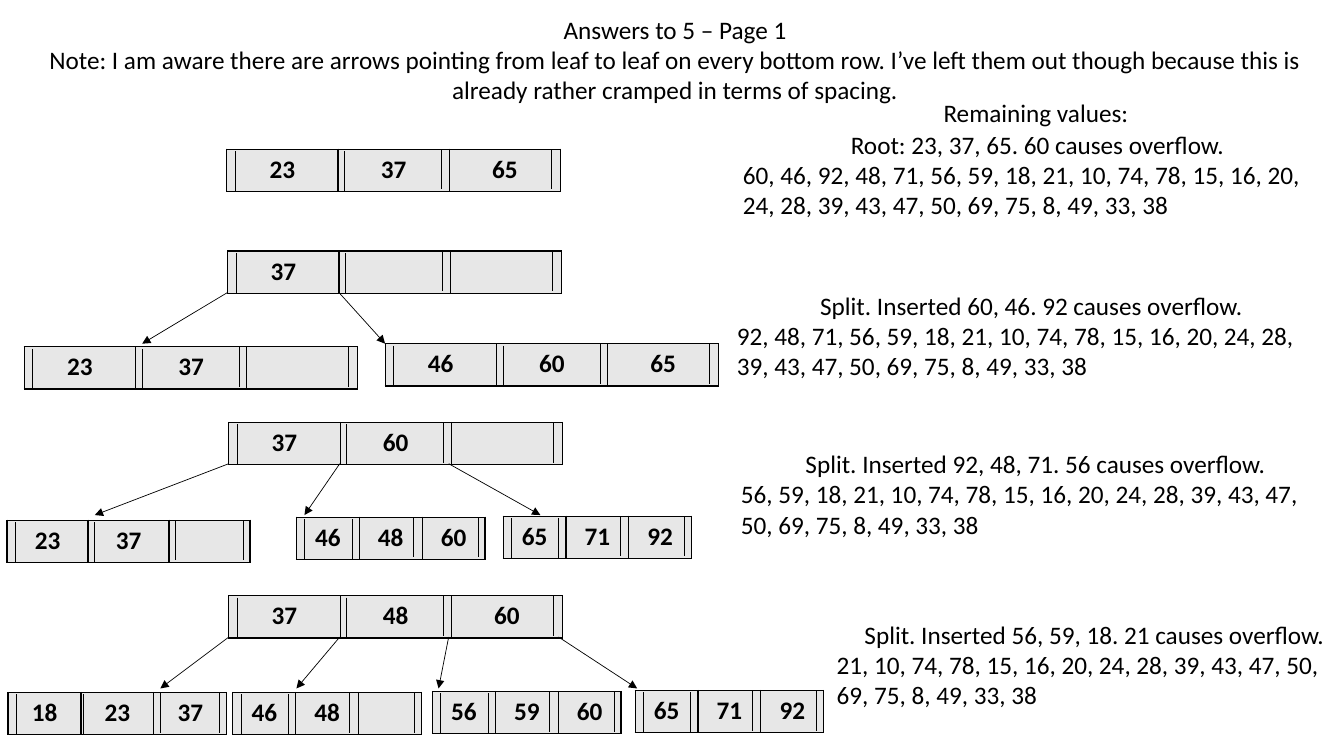
from lxml import etree
from pptx import Presentation, util as u
from pptx.dml.color import RGBColor
from pptx.enum import shapes, text
from pptx.oxml import ns

FONT = {"name": "Calibri", "size": u.Pt(18)}
INK, KEY_FILL = "000000", "E7E7E7"
ROW_H, TICK_H = 0.42, 0.4
WIDE, MID, SMALL, NARROW = 3.31, 2.41, 2.17, 1.87

# Left offsets of the pointer slot marks, for each node width
TICKS = {
    WIDE: (0.08, 1.17, 2.13, 3.22),
    MID: (0.08, 0.87, 1.67, 2.34),
    SMALL: (0.08, 0.75, 1.51, 2.1),
    NARROW: (0.08, 0.55, 1.16, 1.8),
}
POINTERS = (0, 1.1, 2.18, 3.27)  # where arrows leave a root
TIP_DROP = 0.92                  # from root top to arrow tips

# Each level: root left, top and keys; leaves (left, top, width, tip offset, keys);
# note box and its two paragraphs
LEVELS = [
    ((2.25, 1.48, "23 37 65"), [], (7.27, 1.23, 6.04, 1.01),
     ("Root: 23, 37, 65. 60 causes overflow.",
      "60, 46, 92, 48, 71, 56, 59, 18, 21, 10, 74, 78, 15, 16, 20, 24, 28, 39, "
      "43, 47, 50, 69, 75, 8, 49, 33, 38")),
    ((2.26, 2.49, "37"),
     [(0.24, 3.44, WIDE, 1.17, "23 37"),
      (3.82, 3.41, WIDE, 0, "46 60 65")],
     (7.21, 2.83, 6.04, 1.01),
     ("Split. Inserted 60, 46. 92 causes overflow.",
      "92, 48, 71, 56, 59, 18, 21, 10, 74, 78, 15, 16, 20, 24, 28, 39, 43, 47, "
      "50, 69, 75, 8, 49, 33, 38")),
    ((2.27, 4.19, "37 60"),
     [(0.07, 5.16, MID, 0.87, "23 37"),
      (2.94, 5.13, NARROW, 0.08, "46 48 60"),
      (4.99, 5.12, NARROW, 0.37, "65 71 92")],
     (7.25, 4.4, 6.04, 1.01),
     ("Split. Inserted 92, 48, 71. 56 causes overflow.",
      "56, 59, 18, 21, 10, 74, 78, 15, 16, 20, 24, 28, 39, 43, 47, 50, 69, 75, "
      "8, 49, 33, 38")),
    ((2.27, 5.91, "37 48 60"),
     [(0.08, 6.87, SMALL, 1.51, "18 23 37"),
      (2.31, 6.87, NARROW, 0.63, "46 48"),
      (4.29, 6.86, NARROW, 0.06, "56 59 60"),
      (6.3, 6.85, NARROW, 0.02, "65 71 92")],
     (8.2, 6.09, 5.31, 1.01),
     ("Split. Inserted 56, 59, 18. 21 causes overflow.",
      "21, 10, 74, 78, 15, 16, 20, 24, 28, 39, 43, 47, 50, 69, 75, 8, 49, 33, 38")),
]


def color(value):
    return RGBColor.from_string(value)


def inches(*values):
    return [u.Inches(v) for v in values]


def add_run(p, words, align, **extra):
    p.alignment = align
    r = p.add_run()
    r.text = words
    for name, value in {**FONT, **extra}.items():
        setattr(r.font, name, value)
    r.font.color.rgb = color(INK)


def add_text(s, box, paragraphs, wrap=True):
    tf = s.shapes.add_textbox(*inches(*box)).text_frame
    tf.word_wrap = wrap
    tf.auto_size = text.MSO_AUTO_SIZE.SHAPE_TO_FIT_TEXT
    for i, (words, align) in enumerate(paragraphs):
        p = tf.add_paragraph() if i else tf.paragraphs[0]
        add_run(p, words, align)


def add_line(s, x1, y1, x2, y2, arrow=False):
    line = s.shapes.add_connector(shapes.MSO_CONNECTOR.STRAIGHT, *inches(x1, y1, x2, y2))
    line.line.width = u.Pt(0.5)
    line.line.color.rgb = color(INK)
    if arrow:
        etree.SubElement(line.line._get_or_add_ln(), ns.qn("a:tailEnd"), type="triangle")
    etree.SubElement(line._element.spPr, ns.qn("a:effectLst"))


def add_borders(cell):
    tc_pr = cell._tc.get_or_add_tcPr()
    for i, side in enumerate(("lnL", "lnR", "lnT", "lnB")):
        ln = etree.Element(ns.qn("a:" + side), w=str(u.Pt(1)))
        fill = etree.SubElement(ln, ns.qn("a:solidFill"))
        etree.SubElement(fill, ns.qn("a:srgbClr"), val=INK)
        tc_pr.insert(i, ln)


def add_node(s, x, y, width, keys):
    """A tree node with three key cells and four pointer slots."""
    table = s.shapes.add_table(1, 3, *inches(x, y, width, ROW_H)).table
    table.first_row = table.horz_banding = False
    keys = keys.split()
    for i, cell in enumerate(table.rows[0].cells):
        table.columns[i].width = u.Inches(width / 3)
        cell.fill.solid()
        cell.fill.fore_color.rgb = color(KEY_FILL)
        add_borders(cell)
        if i < len(keys):
            add_run(cell.text_frame.paragraphs[0], keys[i], text.PP_ALIGN.CENTER, bold=True)
    for i, dx in enumerate(TICKS[width]):
        top = y + (0.02 if i < 2 else 0)
        add_line(s, x + dx, top, x + dx, top + TICK_H)


def add_level(s, root, leaves, note_box, note):
    """One state of the tree, with its note on the right."""
    x, y, keys = root
    add_node(s, x, y, WIDE, keys)
    for pointer, (left, top, width, tip, leaf_keys) in zip(POINTERS, leaves):
        add_node(s, left, top, width, leaf_keys)
        add_line(s, x + pointer, y + ROW_H - 0.01, left + tip, y + TIP_DROP, arrow=True)
    add_text(s, note_box, zip(note, (text.PP_ALIGN.CENTER, text.PP_ALIGN.LEFT)))


def add_heading(s, box):
    lines = ("Answers to 5 – Page 1",
             "Note: I am aware there are arrows pointing from leaf to leaf on every bottom "
             "row. I’ve left them out though because this is already rather cramped in "
             "terms of spacing.")
    add_text(s, box, [(words, text.PP_ALIGN.CENTER) for words in lines])


def main():
    prs = Presentation()
    prs.slide_width, prs.slide_height = inches(13.33, 7.5)
    s = prs.slides.add_slide(prs.slide_layouts[6])
    # Heading and caption of the notes column
    add_heading(s, (0.26, 0.09, 12.87, 1.01))
    add_text(s, (9.26, 0.92, 2.06, 0.4),
             [("Remaining values:", text.PP_ALIGN.LEFT)], wrap=False)
    # Tree states from top to bottom
    for level in LEVELS:
        add_level(s, *level)
    prs.save("out.pptx")


if __name__ == "__main__":
    main()
